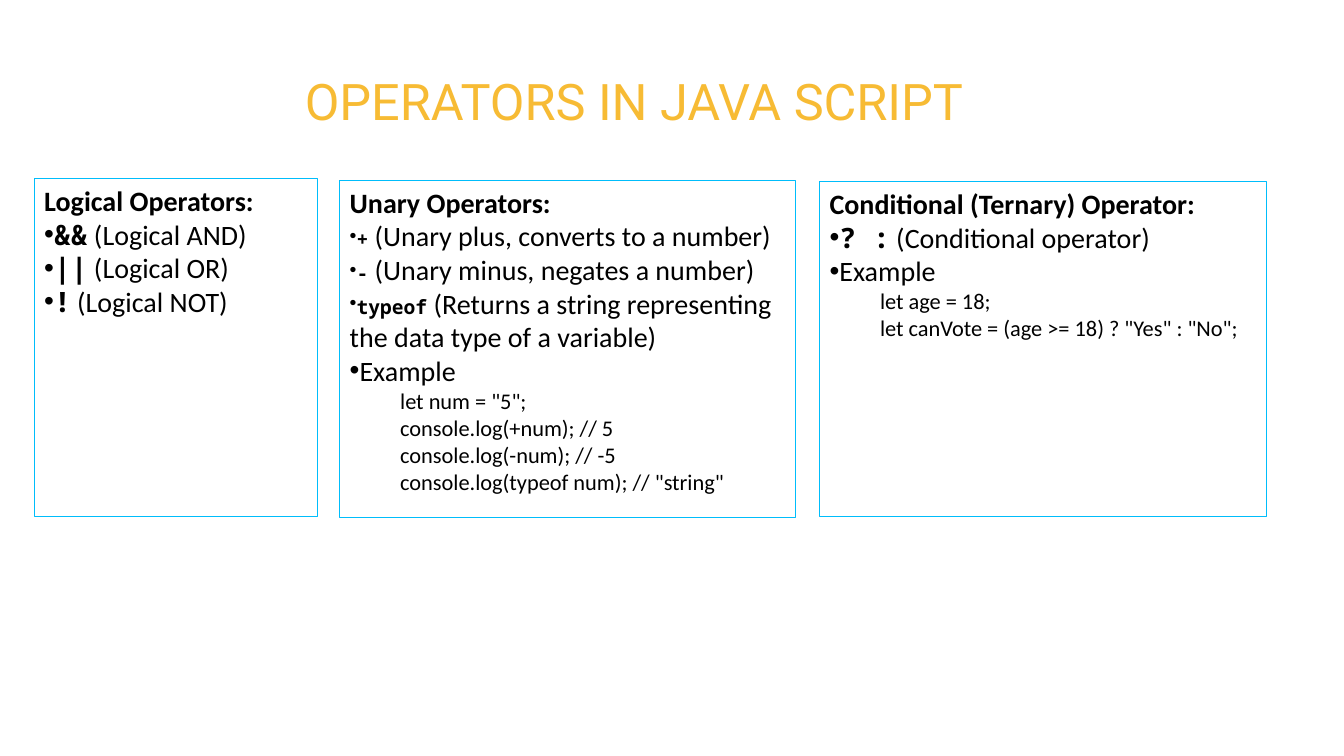
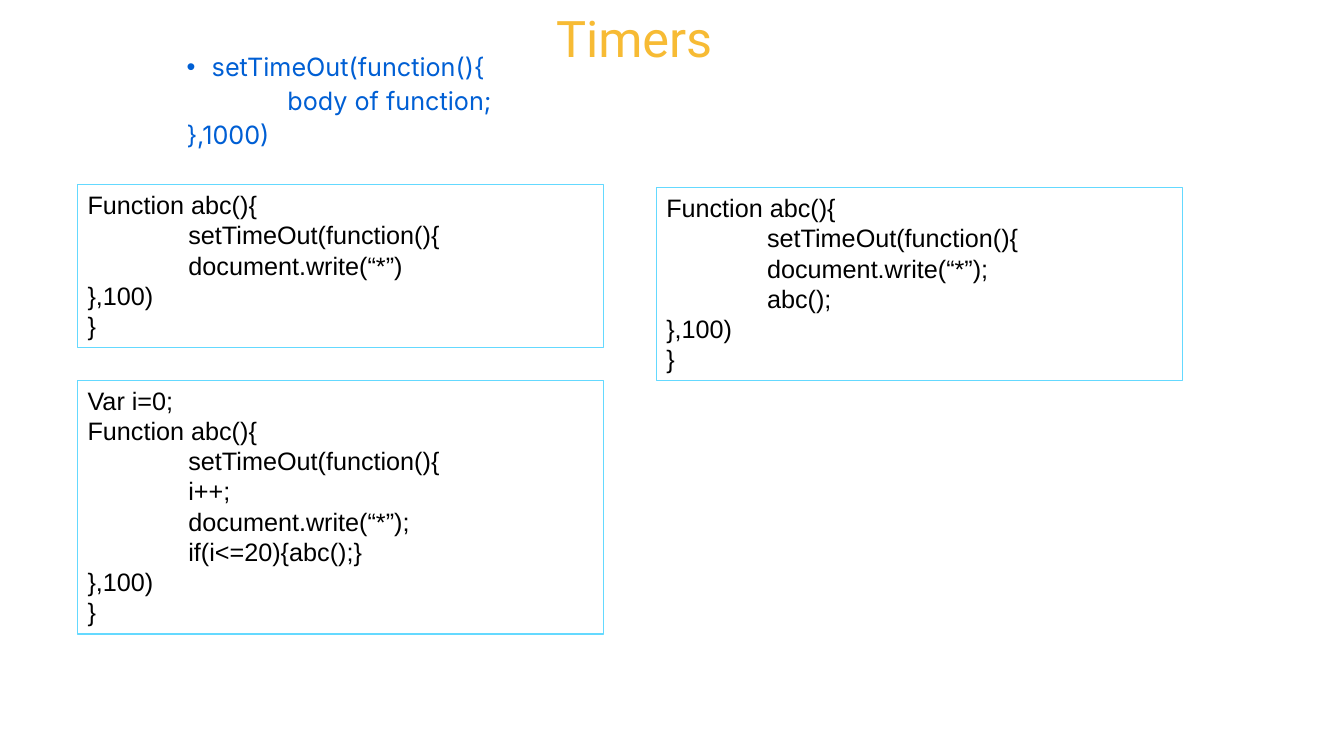
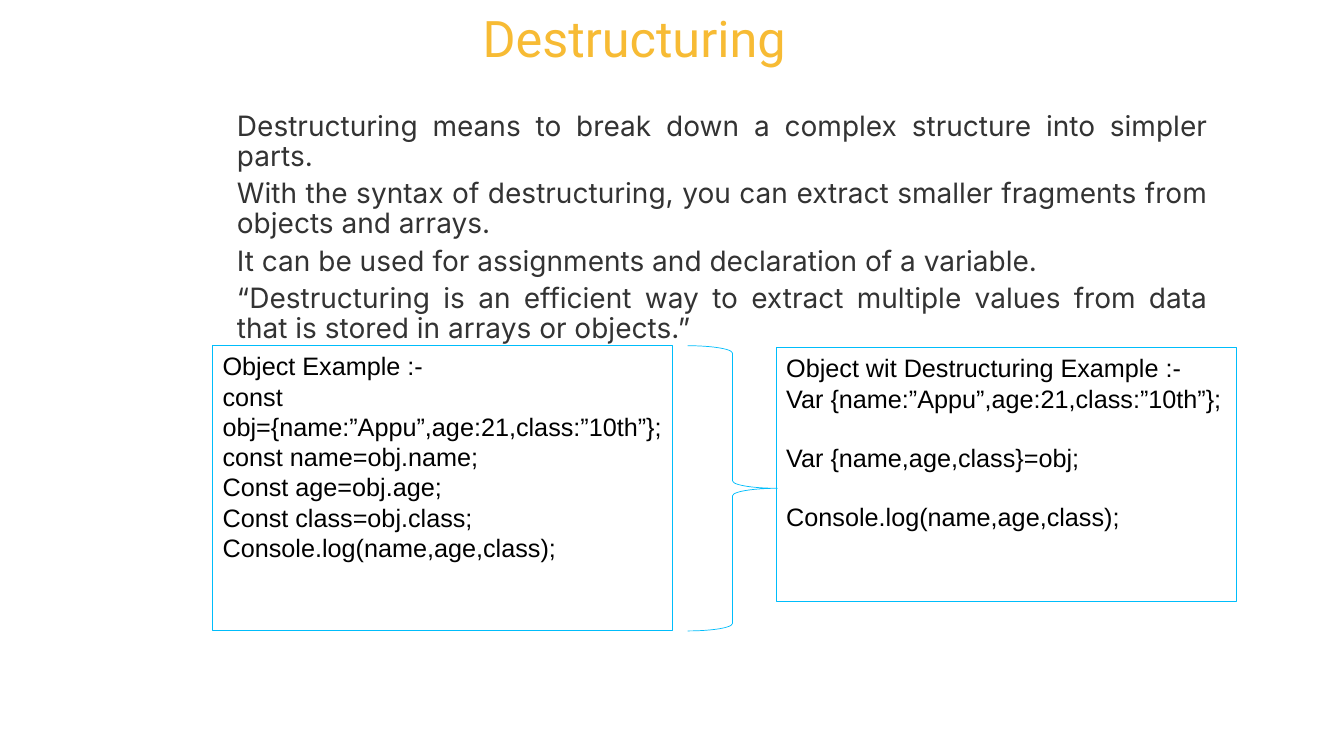
"""Build three slides on JavaScript operators, timers and destructuring."""
from lxml import etree
from pptx import Presentation
from pptx import util as u
from pptx.dml.color import RGBColor
from pptx.enum import shapes, text
from pptx.oxml import ns

GOLD = RGBColor(0xF7, 0xBB, 0x34)
WHITE = RGBColor(0xFF, 0xFF, 0xFF)
BLACK = RGBColor(0, 0, 0)
CYAN = RGBColor(0x00, 0xBD, 0xFB)
LIGHT_CYAN = RGBColor(0x64, 0xD9, 0xFF)
BLUE = RGBColor(0x00, 0x5F, 0xD4)
GRAY = RGBColor(0x33, 0x33, 0x33)

TITLE_ONLY, TITLE_AND_BODY = 5, 1
MONO = "Noto Sans Mono"
BLANK_LINE = 20.7

OPERATOR_BOXES = [
    ((0.34, 1.77, 2.81, 3.35), "Logical Operators:", 20,
     [("&&", " (Logical AND)"), ("||", " (Logical OR)"), ("!", " (Logical NOT)")], []),
    ((3.37, 1.79, 4.52, 3.34), "Unary Operators:", 14,
     [("+", " (Unary plus, converts to a number)"),
      ("-", " (Unary minus, negates a number)"),
      ("typeof", " (Returns a string representing the data type of a variable)")],
     ['let num = "5";', "console.log(+num); // 5", "console.log(-num); // -5",
      'console.log(typeof num); // "string"']),
    ((8.13, 1.8, 4.43, 3.32), "Conditional (Ternary) Operator:", 20,
     [("? :", " (Conditional operator)")],
     ["let age = 18;", 'let canVote = (age >= 18) ? "Yes" : "No";']),
]

TIMER_BOXES = [
    ((0.77, 1.83, 5.22, 1.62),
     [("Function abc(){", 0), ("setTimeOut(function(){", 1), ("document.write(“*”)", 1),
      ("},100)", 0), ("}", 0)]),
    ((6.51, 1.86, 5.22, 1.92),
     [("Function abc(){", 0), ("setTimeOut(function(){", 1), ("document.write(“*”);", 1),
      ("abc();", 1), ("},100)", 0), ("}", 0)]),
    ((0.77, 3.77, 5.22, 2.52),
     [("Var i=0;", 0), ("Function abc(){", 0), ("setTimeOut(function(){", 1), ("i++;", 1),
      ("document.write(“*”);", 1), ("if(i<=20){abc();}", 1), ("},100)", 0), ("}", 0)]),
]

DESTRUCTURING_POINTS = [
    "Destructuring means to break down a complex structure into simpler parts.",
    "With the syntax of destructuring, you can extract smaller fragments from objects and arrays.",
    "It can be used for assignments and declaration of a variable.",
    "“Destructuring is an efficient way to extract multiple values from data that is stored "
    "in arrays or objects.”",
]

OBJECT_LINES = [
    "Object Example :-", "const obj={name:”Appu”,age:21,class:”10th”};",
    "const name=obj.name;", "Const age=obj.age;", "Const class=obj.class;",
    "Console.log(name,age,class);",
]

DESTRUCTURED_LINES = [
    ("Object wit Destructuring Example :-", 0),
    ("Var {name:”Appu”,age:21,class:”10th”};", 0),
    ("Var {name,age,class}=obj;", BLANK_LINE),
    ("Console.log(name,age,class);", BLANK_LINE),
]


def place(shape, at):
    """Move and size a shape, given inches."""
    shape.left, shape.top, shape.width, shape.height = map(u.Inches, at)


def style_font(font, name, size, color, bold=False):
    """Set the look of a font."""
    font.name, font.size, font.bold = name, u.Pt(size), bold
    font.color.rgb = color


def add_line(frame, indent=0, hanging=0, bullet=False, align=text.PP_ALIGN.LEFT):
    """Start the next paragraph of a frame with its indent and bullet."""
    first = frame.paragraphs[0]
    para = frame.add_paragraph() if first.runs else first
    para.alignment = align
    props = para._p.get_or_add_pPr()
    props.set("marL", str(u.Inches(indent)))
    props.set("indent", str(u.Inches(-hanging)))
    if bullet:
        etree.SubElement(props, ns.qn("a:buFont")).set("typeface", "Arial")
        etree.SubElement(props, ns.qn("a:buChar")).set("char", "•")
    else:
        etree.SubElement(props, ns.qn("a:buNone"))
    return para


def add_span(para, words, name, size, bold=False):
    """Add a black run with its own font."""
    span = para.add_run()
    span.text = words
    style_font(span.font, name, size, BLACK, bold)


def add_slide(deck, layout, heading, title_top):
    """Add a slide with its gold title."""
    slide = deck.slides.add_slide(deck.slide_layouts[layout])
    title = slide.shapes.title
    place(title, (0.64, title_top, 11.3, 0.75))
    title.fill.solid()
    title.fill.fore_color.rgb = WHITE
    frame = title.text_frame
    frame.auto_size = text.MSO_AUTO_SIZE.NONE
    frame.vertical_anchor = text.MSO_ANCHOR.MIDDLE
    frame.margin_left = frame.margin_right = u.Inches(0.13)
    frame.margin_top = frame.margin_bottom = u.Inches(0.13)
    para = add_line(frame, align=text.PP_ALIGN.CENTER)
    para.line_spacing = 0.9
    para.add_run().text = heading
    style_font(para.font, "Roboto", 36, GOLD)
    return slide


def fill_body(slide, top, lines, size, color):
    """Fill the body placeholder with (words, indent, hanging, bullet) lines."""
    body = slide.placeholders[1]
    place(body, (1.25, top, 10.83, 5.96))
    frame = body.text_frame
    frame.auto_size = text.MSO_AUTO_SIZE.NONE
    for words, indent, hanging, bullet in lines:
        para = add_line(frame, indent, hanging, bullet, text.PP_ALIGN.JUSTIFY)
        para.line_spacing = 0.9
        para.space_before = u.Pt(5)
        para.add_run().text = words
        style_font(para.font, "Inter", size, color)


def add_outline(slide, kind, at, color, weight=0.75):
    """Add an unfilled preset shape with a thin line."""
    shape = slide.shapes.add_shape(kind, *map(u.Inches, at))
    shape.shadow.inherit = False
    shape.fill.background()
    shape.line.color.rgb = color
    shape.line.width = u.Pt(weight)
    return shape


def add_box(slide, at, color):
    """Add an outlined box and return its text frame."""
    frame = add_outline(slide, shapes.MSO_SHAPE.RECTANGLE, at, color).text_frame
    frame.word_wrap = True
    frame.vertical_anchor = text.MSO_ANCHOR.TOP
    return frame


def add_code_box(slide, at, color, lines):
    """Add a box of (words, indent, space before) code lines."""
    frame = add_box(slide, at, color)
    for words, indent, gap in lines:
        para = add_line(frame, indent)
        para.space_before = u.Pt(gap)
        para.add_run().text = words
        style_font(para.font, "Arial", 18, BLACK)


def add_operator_box(slide, at, heading, symbol_size, operators, example):
    """Add a box listing operators, with an optional code example."""
    frame = add_box(slide, at, CYAN)
    add_span(add_line(frame), heading, "Calibri", 20, True)
    for symbol, meaning in operators:
        para = add_line(frame, bullet=True)
        add_span(para, symbol, MONO, symbol_size, True)
        add_span(para, meaning, "Calibri", 20)
    if example:
        add_span(add_line(frame, bullet=True), "Example", "Calibri", 20)
    for code in example:
        add_span(add_line(frame, 0.5), code, "Calibri", 16)


def build_operators(deck):
    """Build the operators slide."""
    slide = add_slide(deck, TITLE_ONLY, "OPERATORS IN JAVA SCRIPT", 0.66)
    for box in OPERATOR_BOXES:
        add_operator_box(slide, *box)


def build_timers(deck):
    """Build the timers slide."""
    slide = add_slide(deck, TITLE_AND_BODY, "Timers", 0.03)
    fill_body(slide, 0.49, [("setTimeOut(function(){", 0.75, 0.25, True),
                            ("body of function;", 1.5, 0, False),
                            ("},1000)", 0.5, 0, False)], 18, BLUE)
    for at, lines in TIMER_BOXES:
        add_code_box(slide, at, LIGHT_CYAN, [(words, indent, 0) for words, indent in lines])


def build_destructuring(deck):
    """Build the destructuring slide."""
    slide = add_slide(deck, TITLE_AND_BODY, "Destructuring", 0.03)
    fill_body(slide, 1.06, [(point, 1, 0, False) for point in DESTRUCTURING_POINTS], 20, GRAY)
    add_code_box(slide, (7.7, 3.45, 4.56, 2.52), CYAN,
                 [(words, 0, gap) for words, gap in DESTRUCTURED_LINES])
    add_code_box(slide, (2.11, 3.43, 4.56, 2.83), CYAN,
                 [(words, 0, 0) for words in OBJECT_LINES])
    add_outline(slide, shapes.MSO_SHAPE.RIGHT_BRACE, (6.82, 3.43, 0.89, 2.83), CYAN, 0.5)


def main():
    """Build and save the deck."""
    deck = Presentation()
    deck.slide_width, deck.slide_height = u.Inches(13.33), u.Inches(7.5)
    build_operators(deck)
    build_timers(deck)
    build_destructuring(deck)
    deck.save("out.pptx")


if __name__ == "__main__":
    main()
